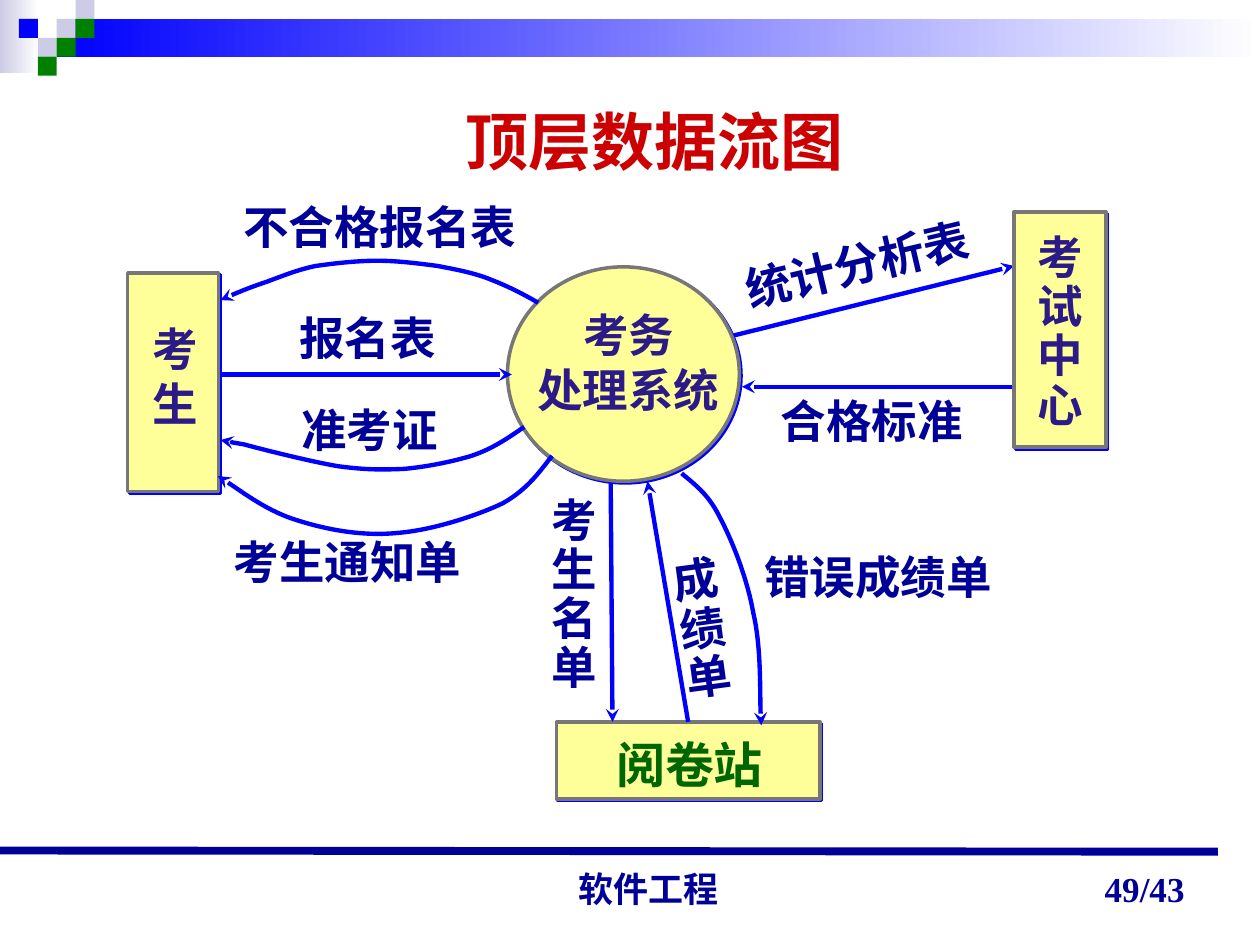
from dataclasses import dataclass

from lxml.etree import SubElement
from pptx import Presentation
from pptx.dml.color import RGBColor
from pptx.enum.shapes import MSO_CONNECTOR, MSO_SHAPE
from pptx.enum.text import MSO_ANCHOR, MSO_AUTO_SIZE, PP_ALIGN
from pptx.oxml.ns import qn
from pptx.util import Pt


@dataclass(frozen=True)
class Theme:
    white: str = "FFFFFF"
    pale: str = "CCCCE6"
    blue: str = "0000FF"
    green: str = "008000"
    navy: str = "000099"
    red: str = "CC0000"
    cream: str = "FFFF99"
    gray: str = "777777"
    violet: str = "2C1A88"
    leaf: str = "006600"
    sans: str = "Noto Sans CJK SC"
    serif: str = "Times New Roman"
    plain: str = "Arial"
    head: int = 36
    store: int = 28
    label: int = 26
    foot: int = 20


T = Theme()
CENTER, RIGHT = PP_ALIGN.CENTER, PP_ALIGN.RIGHT


def rgb(code):
    return RGBColor.from_string(code)


def place(box, x, y, w, h):
    """Return a slide frame in points for a part of the box."""
    return Pt(box[0] + x), Pt(box[1] + y), Pt(w), Pt(h)


def write(shape, text, color=T.navy, size=T.label, font=T.sans, align=None,
          space=None, anchor=MSO_ANCHOR.TOP):
    frame = shape.text_frame
    frame.word_wrap = True
    frame.auto_size = MSO_AUTO_SIZE.NONE
    frame.vertical_anchor = anchor
    frame.text = text
    for para in frame.paragraphs:
        para.alignment = align
        para.line_spacing = space
        for run in para.runs:
            run.font.name = font
            run.font.size = Pt(size)
            run.font.bold = True
            run.font.color.rgb = rgb(color)
            SubElement(run.font._element, qn("a:ea"), typeface=T.sans)


def label(slide, box, area, text, turn=0, **style):
    shape = slide.shapes.add_textbox(*place(box, *area))
    shape.rotation = turn
    write(shape, text, **style)


def block(slide, box, area, color, fade=None):
    """Add an unlined rectangle, fading to a second colour if given."""
    shape = slide.shapes.add_shape(MSO_SHAPE.RECTANGLE, *place(box, *area))
    shape.shadow.inherit = False
    shape.line.fill.background()
    if fade:
        shape.fill.gradient()
        shape.fill.gradient_angle = 0
        for stop, code in zip(shape.fill.gradient_stops, (color, fade)):
            stop.color.rgb = rgb(code)
    else:
        shape.fill.solid()
        shape.fill.fore_color.rgb = rgb(color)


def node(slide, box, kind, area):
    shape = slide.shapes.add_shape(kind, *place(box, *area))
    shape.fill.solid()
    shape.fill.fore_color.rgb = rgb(T.cream)
    shape.line.color.rgb = rgb(T.gray)
    shape.line.width = Pt(2)
    shape.shadow.inherit = False
    effects = shape.element.spPr.find(qn("a:effectLst"))
    shadow = SubElement(effects, qn("a:outerShdw"), dist=str(Pt(1.4)),
                        dir="2700000", algn="ctr", rotWithShape="0")
    SubElement(shadow, qn("a:srgbClr"), val=T.blue)
    return shape


def stroke(shape, color=T.blue, width=2.5, arrow=True):
    shape.line.color.rgb = rgb(color)
    shape.line.width = Pt(width)
    if arrow:
        SubElement(shape.line._get_or_add_ln(), qn("a:tailEnd"), type="stealth")
    SubElement(shape.element.spPr, qn("a:effectLst"))


def link(slide, box, start, end, **style):
    x, y = box[:2]
    line = slide.shapes.add_connector(
        MSO_CONNECTOR.STRAIGHT, Pt(x + start[0]), Pt(y + start[1]),
        Pt(x + end[0]), Pt(y + end[1]))
    stroke(line, **style)
    return line


def curve(slide, box, points):
    """Add an arrow along Bezier segments, three points to a segment."""
    first, *rest = [(Pt(box[0] + x), Pt(box[1] + y)) for x, y in points]
    maker = slide.shapes.build_freeform(*first)
    maker.add_line_segments(rest, close=False)
    shape = maker.convert_to_shape()
    steps = list(shape.element.iter(qn("a:lnTo")))
    for one, two, three in zip(*[iter(steps)] * 3):
        bend = SubElement(one.getparent(), qn("a:cubicBezTo"))
        for step in (one, two, three):
            bend.append(step[0])
            step.getparent().remove(step)
    shape.fill.background()
    stroke(shape)


def header(slide, box):
    cell = 10.8
    block(slide, box, (0, 0, 22.3, 42), T.pale, T.white)
    block(slide, box, (3 * cell, cell, box[2] - 3 * cell, 2 * cell), T.blue, T.white)
    tiles = [(3, 1, T.pale), (4, 0, T.pale), (4, 1, T.green), (2, 2, T.pale),
             (1, 1, T.blue), (3, 2, T.green), (2, 3, T.green)]
    for col, row, color in tiles:
        block(slide, box, (col * cell, row * cell, cell, cell), color)


def footer(slide, box):
    link(slide, box, (0, 0), (696, 0.7), color=T.navy, width=4.5, arrow=False)
    style = dict(size=T.foot, anchor=MSO_ANCHOR.BOTTOM)
    label(slide, box, (256.5, 8, 228, 29.5), "软件工程",
          font=T.plain, align=CENTER, **style)
    label(slide, box, (516, 1.5, 168, 36), "49/43",
          font=T.serif, align=RIGHT, **style)


def title(slide, box):
    shape = slide.shapes.title
    shape.left, shape.top, shape.width, shape.height = place(box, 0, 0, *box[2:])
    write(shape, "顶层数据流图", color=T.red, size=T.head, font=T.serif,
          align=CENTER, anchor=MSO_ANCHOR.MIDDLE)


def nodes(slide, box):
    """Add the parties and the system; return the marking station."""
    rect = MSO_SHAPE.RECTANGLE
    violet = dict(color=T.violet)
    parts = [
        (rect, (1, 48, 52, 125), "考\n生", (8, 72, 44, 70), violet),
        (MSO_SHAPE.OVAL, (218, 44.5, 132.5, 122.5), "考务\n处理系统",
         (219.5, 64, 135.5, 70), dict(violet, align=CENTER)),
        (rect, (507.5, 13, 52.5, 134.5), "考\n试\n中\n心",
         (514, 23, 44, 119.5), dict(violet, space=0.9)),
        (rect, (246, 304.5, 150.5, 44), "阅卷站", (273, 308, 99.5, 41),
         dict(color=T.leaf, size=T.store, font=T.serif)),
    ]
    for kind, area, text, spot, style in parts:
        shape = node(slide, box, kind, area)
        label(slide, box, spot, text, **style)
    return shape


def flows(slide, box):
    for area, text, style in [
        ((60, 2, 210, 38), "不合格报名表", {}),
        ((92, 65.5, 98.5, 38), "报名表", {}),
        ((93, 118, 136, 38), "准考证", {}),
        ((54.5, 193.5, 187, 38), "考生通知单", {}),
        ((309.5, 206, 51, 91.5), "成\n绩\n单", dict(turn=-7.8, space=0.9)),
        ((367, 113, 130.5, 38), "合格标准", {}),
        ((353, 206, 153.5, 35.5), "错误成绩单", dict(align=CENTER, space=0.9)),
        ((236, 173, 51, 119.5), "考生名\n单", dict(space=0.9)),
        ((345, 20, 175.5, 38), "统计分析表", dict(turn=-13.2)),
    ]:
        label(slide, box, area, text, **style)
    for points in [
        [(235.5, 65), (227, 60), (218, 55.5), (209, 52), (199.5, 48),
         (188.5, 46), (178, 44), (166.5, 42.5), (155, 41), (143.5, 41),
         (132, 41), (119, 42.5), (108.5, 44), (98.5, 46), (90, 49.5),
         (80.5, 53), (71.5, 56), (59, 61), (54, 63.5)],
        [(227.5, 136), (218, 142.5), (209.5, 148.5), (197.5, 152.5),
         (186, 156), (170.5, 159), (158.5, 160), (145.5, 160.5),
         (137, 160.5), (121.5, 158.5), (106.5, 156), (78.5, 149),
         (67.5, 146), (56, 144), (56, 144), (54, 143.5)],
        [(243.5, 152.5), (236, 162), (229.5, 171.5), (215.5, 179.5),
         (201, 186.5), (175, 195), (155.5, 196.5), (136, 198.5),
         (116, 195), (98.5, 189.5), (81.5, 184.5), (60, 168.5), (52.5, 164)],
        [(317.5, 162.5), (324.5, 168.5), (332.5, 174), (339, 187),
         (346.5, 201), (355, 222.5), (358.5, 242.5), (363, 262),
         (362, 296), (363, 306.5)],
    ]:
        curve(slide, box, points)


def diagram(slide, box):
    link(slide, box, (520, 113), (352, 113))
    link(slide, box, (336, 86.5), (507.5, 44))
    station = nodes(slide, box)
    link(slide, box, (54, 106), (220.5, 106))
    link(slide, box, (277, 168), (278, 304.5))
    scores = link(slide, box, (321, 304.5), (298, 167))
    scores.begin_connect(station, 0)
    flows(slide, box)


def main():
    deck = Presentation()
    deck.slide_width, deck.slide_height = Pt(720), Pt(540)
    slide = deck.slides.add_slide(deck.slide_layouts[5])
    header(slide, (0, 0, 720, 43))
    footer(slide, (0, 486, 720, 54))
    title(slide, (247, 57, 254, 46))
    diagram(slide, (72, 108, 561, 350))
    deck.save("out.pptx")


if __name__ == "__main__":
    main()
